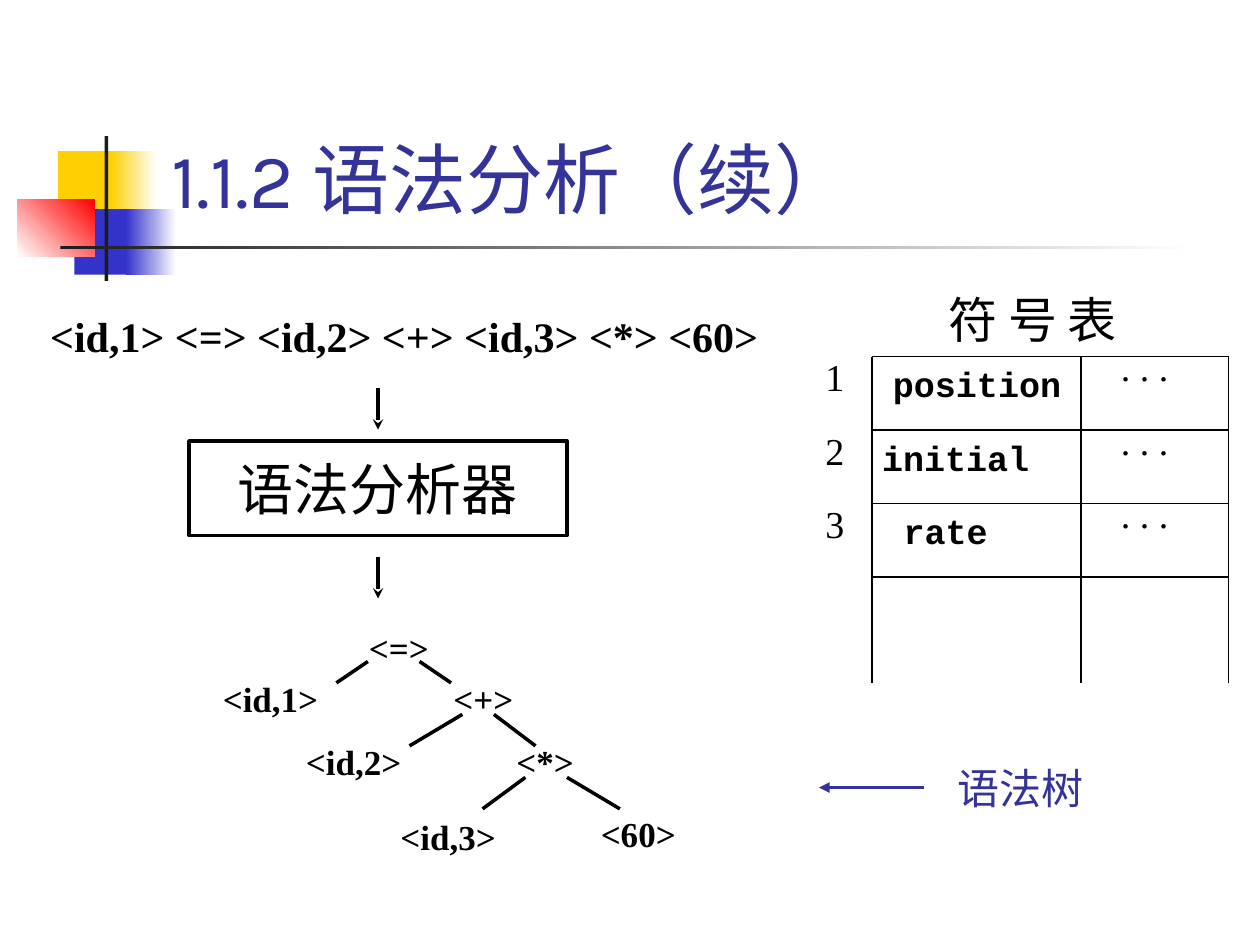
from lxml import etree
from pptx import Presentation
from pptx.dml.color import RGBColor
from pptx.enum.shapes import MSO_CONNECTOR, MSO_SHAPE
from pptx.enum.text import MSO_ANCHOR, PP_ALIGN
from pptx.oxml.ns import qn
from pptx.util import Inches, Pt

LEFT, CENTER = PP_ALIGN.LEFT, PP_ALIGN.CENTER
TOP, MIDDLE, BOTTOM = MSO_ANCHOR.TOP, MSO_ANCHOR.MIDDLE, MSO_ANCHOR.BOTTOM
RECTANGLE = MSO_SHAPE.RECTANGLE
STRAIGHT = MSO_CONNECTOR.STRAIGHT
BLANK = 6

CJK, SERIF, MONO, SANS = "Noto Sans CJK SC", "Times New Roman", "Courier New", "Karla"
BLACK, WHITE, NAVY = "000000", "FFFFFF", "333399"
YELLOW, BLUE, RED, DARK = "FFCF01", "3333CC", "FF0000", "1C1C1C"


def color(value):
    return RGBColor.from_string(value)


class SlideBuilder:
    def __init__(self, slide):
        self.slide = slide

    def set_text(self, shape, text, size, font, ink=BLACK, bold=False, align=LEFT,
                 anchor=TOP, wrap=True, spacing=None):
        frame = shape.text_frame
        frame.text = text
        frame.word_wrap = wrap
        frame.vertical_anchor = anchor
        paragraph = frame.paragraphs[0]
        paragraph.alignment = align
        if spacing:
            paragraph.line_spacing = spacing
        for run in paragraph.runs:
            run.font.name = font
            run.font.size = Pt(size)
            run.font.bold = bold
            run.font.color.rgb = color(ink)
            east_asian = etree.SubElement(run.font._element, qn("a:ea"))
            east_asian.set("typeface", CJK)

    def text(self, left, top, width, height, text, size, font, **style):
        box = self.slide.shapes.add_textbox(
            Inches(left), Inches(top), Inches(width), Inches(height))
        self.set_text(box, text, size, font, **style)

    def rectangle(self, left, top, width, height):
        shape = self.slide.shapes.add_shape(
            RECTANGLE, Inches(left), Inches(top), Inches(width), Inches(height))
        shape.shadow.inherit = False
        return shape

    def block(self, left, top, width, height, start, end=None, angle=0):
        shape = self.rectangle(left, top, width, height)
        shape.line.fill.background()
        if end is None:
            shape.fill.solid()
            shape.fill.fore_color.rgb = color(start)
            return
        shape.fill.gradient()
        shape.fill.gradient_angle = angle
        for stop, value, position in zip(shape.fill.gradient_stops, (start, end), (0, 1)):
            stop.color.rgb = color(value)
            stop.position = position

    def outlined_box(self, left, top, width, height, text, size, font):
        shape = self.rectangle(left, top, width, height)
        shape.fill.background()
        shape.line.color.rgb = color(BLACK)
        shape.line.width = Pt(2)
        self.set_text(shape, text, size, font, align=CENTER, anchor=MIDDLE, wrap=False)

    def line(self, x1, y1, x2, y2, width=2, ink=BLACK, arrow=None):
        connector = self.slide.shapes.add_connector(
            STRAIGHT, Inches(x1), Inches(y1), Inches(x2), Inches(y2))
        connector.line.color.rgb = color(ink)
        connector.line.width = Pt(width)
        properties = connector._element.spPr
        if arrow:
            tail = etree.SubElement(properties.find(qn("a:ln")), qn("a:tailEnd"))
            tail.set("type", arrow)
        etree.SubElement(properties, qn("a:effectLst"))


def main():
    deck = Presentation()
    deck.slide_width, deck.slide_height = Inches(10), Inches(7.5)
    page = SlideBuilder(deck.slides.add_slide(deck.slide_layouts[BLANK]))

    # Corner decoration and title
    page.block(0.46, 1.2, 0.48, 0.52, YELLOW)
    page.block(0.88, 1.2, 0.36, 0.52, YELLOW, WHITE)
    page.block(0.59, 1.66, 0.46, 0.52, BLUE)
    page.block(1, 1.66, 0.4, 0.52, BLUE, WHITE)
    page.block(0.14, 1.58, 0.61, 0.46, WHITE, RED, angle=45)
    page.block(0.83, 1.08, 0.03, 1.15, DARK)
    page.block(0.48, 1.95, 9, 0.03, DARK, WHITE)
    page.text(1.26, 0.23, 8.52, 1.6, "1.1.2 语法分析（续）", 44, SANS,
              ink=NAVY, anchor=BOTTOM)

    # Symbol table, left open at the bottom
    table_left, table_right, table_top, table_bottom = 6.92, 9.75, 2.83, 5.42
    row_height = 1.75 / 3
    page.text(7.11, 2.25, 2.17, 0.67, "符 号 表", 28, CJK, align=CENTER)
    for x in (table_left, 8.58, table_right):
        page.line(x, table_top, x, table_bottom, width=1)
    for row in range(4):
        y = table_top + row * row_height
        page.line(table_left, y, table_right, y, width=1)
    symbols = [("position", 6.92), ("initial", 6.75), ("rate", 6.67)]
    for row, (symbol, left) in enumerate(symbols):
        y = table_top + row * row_height
        page.text(left, y, 1.67, 0.5, symbol, 20, MONO, bold=True, align=CENTER)
        page.text(8.42, y - 0.08, 1.33, 0.5, ". . .", 21.7, SERIF,
                  align=CENTER, spacing=0.8)
        page.text(6.25, y, 0.75, 0.5, str(row + 1), 21.7, SERIF,
                  align=CENTER, spacing=0.8)

    # Token stream passing through the parser
    page.text(0.17, 2.33, 6.08, 0.67, "<id,1> <=> <id,2> <+> <id,3> <*> <60>", 24,
              SERIF, bold=True, align=CENTER, anchor=MIDDLE, wrap=False)
    page.outlined_box(1.5, 3.5, 3, 0.75, "语法分析器", 32, CJK)
    for y in (3.08, 4.42):
        page.line(3, y, 3, y + 0.33, arrow="stealth")

    # Syntax tree
    nodes = [
        ("<=>", 2.83, 4.92, 0.75),
        ("<id,1>", 1.67, 5.33, 1.25),
        ("<+>", 3.5, 5.33, 0.75),
        ("<id,2>", 2.33, 5.83, 1.25),
        ("<*>", 4, 5.83, 0.75),
        ("<id,3>", 3.08, 6.42, 1.25),
        ("<60>", 4.67, 6.4, 1),
    ]
    for token, left, top, width in nodes:
        page.text(left, top, width, 0.44, token, 20, SERIF, bold=True)
    branches = [
        (2.92, 5.25, 2.67, 5.42), (3.33, 5.25, 3.58, 5.42),
        (3.67, 5.67, 3.25, 5.92), (3.92, 5.67, 4.25, 5.92),
        (4.17, 6.17, 3.83, 6.42), (4.5, 6.17, 4.92, 6.42),
    ]
    for branch in branches:
        page.line(*branch)

    # Tree label
    page.line(7.33, 6.25, 6.5, 6.25, ink=NAVY, arrow="triangle")
    page.text(7.5, 6, 1.25, 0.5, "语法树", 24, SANS, ink=NAVY)

    deck.save("out.pptx")


if __name__ == "__main__":
    main()
